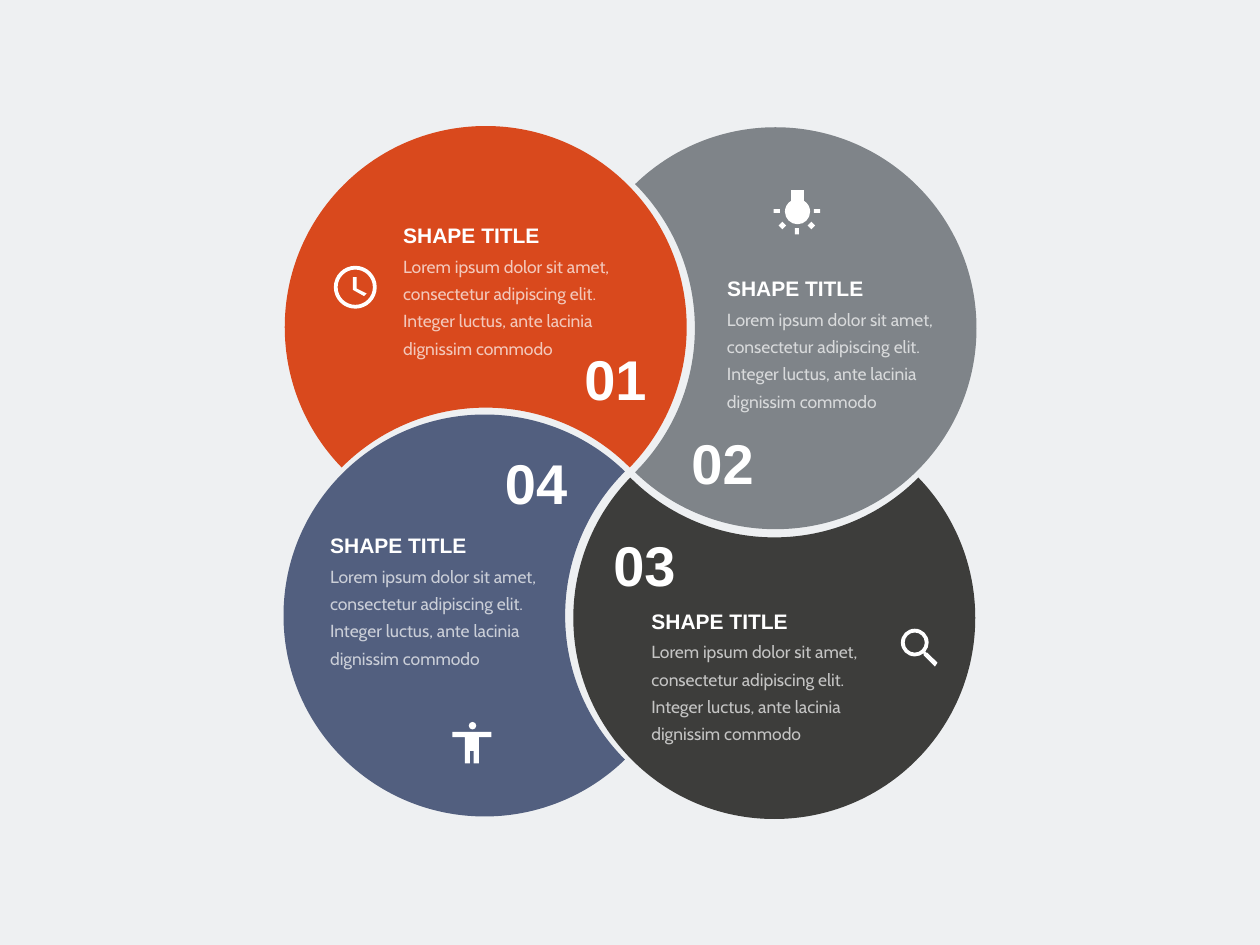
"""Build a slide of four interlocking petals with numbers, texts and icons."""
from math import acos, cos, degrees, radians, sin, tan

from lxml import etree
from pptx import Presentation
from pptx.dml.color import RGBColor
from pptx.enum.text import MSO_ANCHOR, MSO_AUTO_SIZE, PP_ALIGN
from pptx.oxml.ns import qn
from pptx.util import Inches, Pt

WHITE = RGBColor(0xFF, 0xFF, 0xFF)
PALE = RGBColor(0xEE, 0xF0, 0xF2)
RED = RGBColor(0xD9, 0x49, 0x1D)
GRAY = RGBColor(0x7F, 0x84, 0x89)
DARK = RGBColor(0x3D, 0x3D, 0x3B)
BLUE = RGBColor(0x52, 0x5F, 0x7F)
TOP, MIDDLE = MSO_ANCHOR.TOP, MSO_ANCHOR.MIDDLE
LEFT, CENTER = PP_ALIGN.LEFT, PP_ALIGN.CENTER
GROW = MSO_AUTO_SIZE.SHAPE_TO_FIT_TEXT

BODY = ("Lorem ipsum dolor sit amet, consectetur adipiscing elit. "
        "Integer luctus, ante lacinia dignissim commodo")
STYLES = {
    "title": dict(size=Pt(12), name="Arial", bold=True),
    "body": dict(size=Pt(10), name="Cabin"),
    "number": dict(size=Pt(32), name="Arial", bold=True),
}
FRAME = dict(margin_left=0, margin_top=0, margin_right=0, margin_bottom=0,
             word_wrap=True, auto_size=GROW)


def arc(x, y, radius, start=0, end=360):
    low, high = sorted((start, end))
    stops = [low] + [q for q in range(-360, 541, 90) if low < q < high] + [high]
    turns = [radians(stop) for stop in (stops if start < end else stops[::-1])]
    dots = [(x + radius * cos(turns[0]), y + radius * sin(turns[0]))]
    for a, b in zip(turns, turns[1:]):
        pull = 4 / 3 * tan((b - a) / 4)
        dots.append((x + radius * cos(b), y + radius * sin(b),
                     x + radius * (cos(a) - pull * sin(a)),
                     y + radius * (sin(a) + pull * cos(a)),
                     x + radius * (cos(b) + pull * sin(b)),
                     y + radius * (sin(b) - pull * cos(b))))
    return dots


def draw(shapes, color, *rings):
    pen = None
    for ring in rings:
        ends = [(Inches(dot[0]), Inches(dot[1])) for dot in ring]
        if pen is None:
            pen = shapes.build_freeform(*ends[0])
        else:
            pen.move_to(*ends[0])
        pen.add_line_segments(ends[1:], close=True)
    shape = pen.convert_to_shape()
    steps = list(shape._element.iter(qn("a:moveTo"), qn("a:lnTo")))
    for step, dot in zip(steps, [dot for ring in rings for dot in ring]):
        if len(dot) == 6:
            step.tag = qn("a:cubicBezTo")
            for spot, i in enumerate((2, 4)):
                knob = etree.Element(qn("a:pt"), x=str(Inches(dot[i]) - shape.left),
                                     y=str(Inches(dot[i + 1]) - shape.top))
                step.insert(spot, knob)
    shape.shadow.inherit = False
    shape.fill.solid()
    shape.fill.fore_color.rgb = color
    shape.line.fill.background()
    return shape


deck = Presentation()
deck.slide_width, deck.slide_height = Inches(10), Inches(7.5)
slide = deck.slides.add_slide(deck.slide_layouts[6])
slide.background.fill.solid()
slide.background.fill.fore_color.rgb = PALE
shapes = slide.shapes

OUTER, INNER, GAP = 1.6, 1.62, 2.26
drop = (GAP ** 2 + OUTER ** 2 - INNER ** 2) / (2 * GAP)
rim = 90 - degrees(acos(drop / OUTER))
notch = 90 - degrees(acos((GAP - drop) / INNER))
petal = (arc(OUTER, OUTER, OUTER, 180 - rim, 360 + rim)
         + arc(OUTER, OUTER + GAP, INNER, -notch, notch - 180))
petals = [(2.26, 1, RED), (4.8, 1.25, GRAY), (4.55, 3.79, DARK), (2.01, 3.53, BLUE)]
for turn, (x, y, color) in enumerate(petals):
    leaf = draw(shapes, color, petal)
    leaf.left, leaf.top = Inches(x), Inches(y)
    leaf.width, leaf.height = Inches(3.19), Inches(2.71)
    leaf.rotation = 90 * turn

labels = []
for x, y in [(3.2, 1.77), (5.77, 2.19), (5.17, 4.83), (2.62, 4.23)]:
    labels.append(("title", "SHAPE TITLE", x, y, 1.12, 0.2, MIDDLE, LEFT))
    labels.append(("body", BODY, x, y + 0.21, 1.87, 0.85, TOP, LEFT))
spots = [(4.5, 2.73), (5.35, 3.4), (4.73, 4.21), (3.87, 3.56)]
for count, (x, y) in enumerate(spots, 1):
    labels.append(("number", f"{count:02}", x, y, 0.77, 0.54, MIDDLE, CENTER))

for style, words, x, y, width, height, anchor, align in labels:
    box = shapes.add_textbox(Inches(x), Inches(y), Inches(width), Inches(height))
    frame = box.text_frame
    for key, value in FRAME.items():
        setattr(frame, key, value)
    frame.vertical_anchor = anchor
    para = frame.paragraphs[0]
    para.alignment = align
    run = para.add_run()
    run.text = words
    for key, value in STYLES[style].items():
        setattr(run.font, key, value)
    run.font.color.rgb = WHITE
    if style == "body":
        para.line_spacing = 1.3
        tint = run._r.find(".//" + qn("a:srgbClr"))
        etree.SubElement(tint, qn("a:alpha"), val="70000")

torso = [(3.9, 5.85), (3.8, 5.85), (3.8, 6.06), (3.76, 6.06), (3.76, 5.96),
         (3.73, 5.96), (3.73, 6.06), (3.69, 6.06), (3.69, 5.85), (3.59, 5.85),
         (3.59, 5.81), (3.9, 5.81)]
draw(shapes, WHITE, arc(3.75, 5.76, 0.03), torso)

clock = shapes.add_group_shape().shapes
hands = [(2.83, 2.2), (2.8, 2.2), (2.8, 2.3), (2.89, 2.35), (2.91, 2.33), (2.83, 2.29)]
draw(clock, WHITE, hands)
draw(clock, WHITE, arc(2.82, 2.28, 0.17), arc(2.82, 2.28, 0.14, 360, 0))

handle = [(7.33, 5.2), (7.42, 5.29), (7.44, 5.26), (7.36, 5.18), (7.35, 5.18)]
lens = arc(7.26, 5.1, 0.11, 40, -310)
draw(shapes, WHITE, lens + handle, arc(7.26, 5.1, 0.08))

bulb = arc(6.33, 1.68, 0.1, -60, 240) + [(6.28, 1.51), (6.38, 1.51)]
rays = [[(x, y), (x + w, y), (x + w, y + h), (x, y + h)]
        for x, y, w, h in [(6.14, 1.66, 0.05, 0.03), (6.46, 1.66, 0.05, 0.03),
                           (6.31, 1.81, 0.03, 0.05)]]
rays += [[(x - 0.03, 1.79), (x, 1.82), (x + 0.03, 1.79), (x, 1.76)]
         for x in (6.21, 6.44)]
draw(shapes, WHITE, bulb, *rays)

deck.save("out.pptx")
